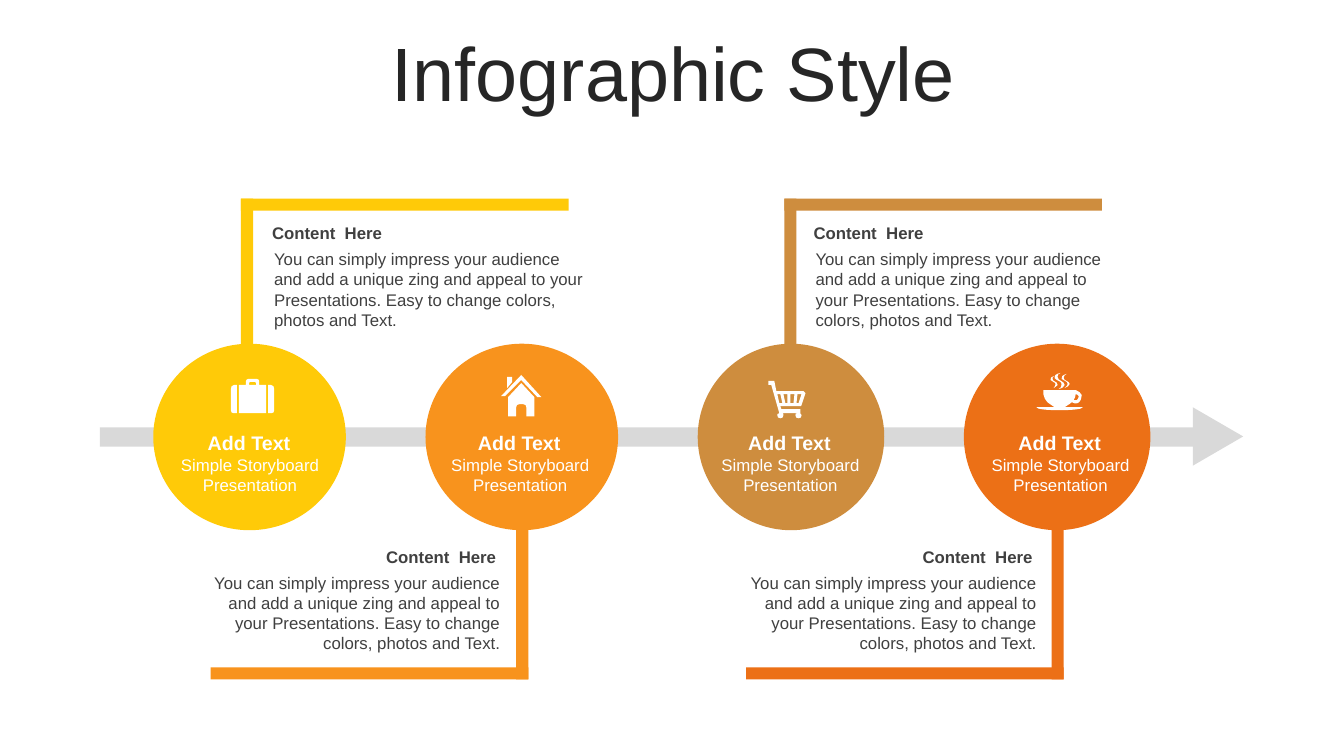
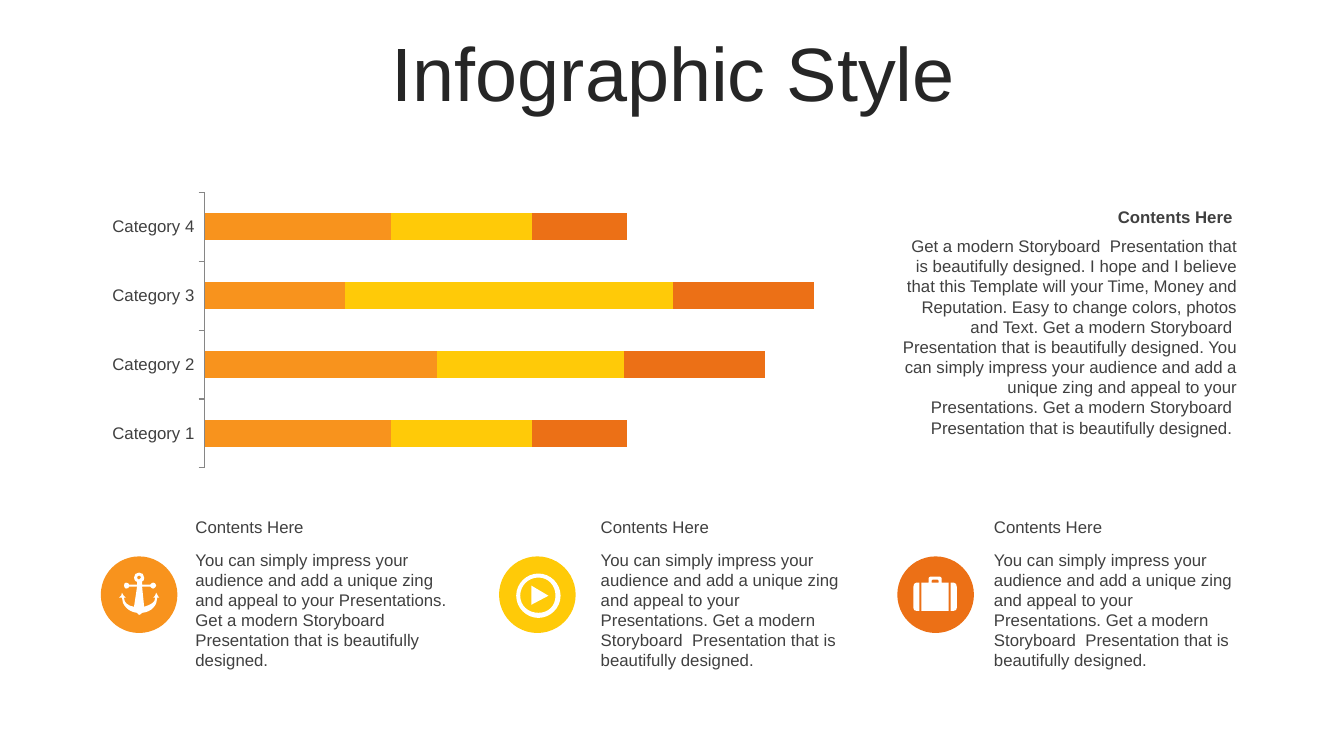
from pptx import Presentation
from pptx.chart.data import CategoryChartData
from pptx.dml.color import RGBColor
from pptx.enum.chart import XL_CHART_TYPE, XL_TICK_MARK
from pptx.enum.shapes import MSO_SHAPE
from pptx.enum.text import MSO_ANCHOR, MSO_AUTO_SIZE, PP_ALIGN
from pptx.oxml.xmlchemy import OxmlElement
from pptx.util import Inches, Pt

# Shared style
YELLOW = RGBColor(0xFF, 0xCA, 0x08)
ORANGE = RGBColor(0xF8, 0x93, 0x1D)
BRONZE = RGBColor(0xCE, 0x8D, 0x3E)
RED = RGBColor(0xEC, 0x70, 0x16)
WHITE = RGBColor(0xFF, 0xFF, 0xFF)
SILVER = RGBColor(0xD9, 0xD9, 0xD9)
AXIS_GRAY = RGBColor(0x86, 0x86, 0x86)
TEXT_GRAY = RGBColor(0x40, 0x40, 0x40)
TITLE_GRAY = RGBColor(0x26, 0x26, 0x26)
FONT = "Arial"
LEFT, CENTER, RIGHT = PP_ALIGN.LEFT, PP_ALIGN.CENTER, PP_ALIGN.RIGHT
RECTANGLE, ELLIPSE = MSO_SHAPE.RECTANGLE, MSO_SHAPE.OVAL
TRIANGLE = MSO_SHAPE.ISOSCELES_TRIANGLE
TITLE_ONLY = 5
TITLE = "Infographic Style"

# Icon outlines in hundredths of an inch: M move, L line, C curve, Z close
SUITCASE = """M 37 6 L 40 6 C 42 6 43 8 43 10 L 43 31 C 43 33 42 34 40 34 L 37 34 Z
M 3 6 L 6 6 L 6 34 L 3 34 C 1 34 0 33 0 31 L 0 10 C 0 8 1 6 3 6 Z
M 19 3 C 18 3 18 3 18 4 L 18 6 L 25 6 L 25 4 C 25 3 25 3 24 3 Z
M 17 0 L 26 0 C 27 0 28 1 28 2 L 28 6 L 35 6 L 35 34 L 8 34 L 8 6 L 15 6
L 15 2 C 15 1 16 0 17 0 Z"""
HOUSE = """M 20 8 L 33 22 L 33 41 L 25 41 L 25 32 C 25 30 24 29 22 29 L 18 29
C 16 29 15 30 15 32 L 15 41 L 7 41 L 7 22 Z M 6 2 L 11 2 L 11 7 L 6 13 Z
M 20 0 L 40 22 L 36 22 L 20 5 L 4 21 L 0 21 Z"""
CART = """M 29 13 L 28 22 L 30 22 L 33 13 Z M 22 13 L 22 22 L 25 22 L 26 13 Z
M 15 13 L 17 22 L 19 22 L 19 13 Z M 9 13 L 11 22 L 14 22 L 12 13 Z
M 6 0 L 8 10 L 35 10 C 36 10 37 11 37 12 L 33 24 C 33 25 32 25 31 25 L 12 25
L 13 28 L 32 28 L 32 32 L 31 32 C 32 32 33 33 33 34 C 33 36 32 37 30 37
C 28 37 27 36 27 34 C 27 33 27 32 29 32 L 14 32 C 15 32 15 33 15 34
C 15 36 14 37 12 37 C 10 37 9 36 9 34 C 9 33 9 32 11 32 L 3 4 L 0 4 L 0 0 L 5 0 Z"""
CUP = """M 39 21 C 39 23 38 25 37 27 C 38 27 39 27 40 27 C 41 26 42 25 42 23
C 41 22 40 21 39 21 Z M 39 17 C 42 18 44 20 45 22 C 45 25 44 28 41 30
C 39 31 37 30 35 29 C 34 30 33 31 31 32 C 30 33 29 33 28 34 L 46 34
C 46 36 35 37 23 37 C 10 37 0 36 0 34 L 18 34 C 17 33 16 33 15 32
C 9 29 6 23 7 17 Z
M 18 3 C 17 4 15 4 16 6 C 16 9 21 8 21 12 C 20 13 19 14 17 15
C 18 13 19 13 19 11 C 19 9 15 9 14 7 C 13 5 15 4 18 3 Z
M 30 1 C 28 2 27 3 27 5 C 27 8 33 8 33 11 C 32 13 31 14 28 15
C 30 13 31 12 31 11 C 31 8 27 8 25 6 C 24 4 26 2 30 1 Z
M 24 0 C 22 1 20 2 21 4 C 21 8 28 8 28 12 C 27 14 26 15 22 16
C 24 15 25 14 25 11 C 25 8 20 8 18 5 C 17 3 19 1 24 0 Z"""
PLAY = """M 15 12 L 32 22 L 15 31 Z
M 22 4 C 12 4 4 12 4 22 C 4 32 12 39 22 39 C 32 39 39 32 39 22 C 39 12 32 4 22 4 Z
M 22 0 C 34 0 44 10 44 22 C 44 34 34 44 22 44 C 10 44 0 34 0 22 C 0 10 10 0 22 0 Z"""
ANCHOR = """M 20 3 C 19 3 18 4 18 5 C 18 6 19 7 20 7 C 21 7 22 6 22 5
C 22 4 21 3 20 3 Z M 20 0 C 23 0 25 2 25 5 C 25 7 25 8 23 9 L 23 12 L 31 12
C 32 11 33 10 34 10 C 35 10 37 11 37 13 C 37 14 35 16 34 16 C 33 16 32 15 31 14
L 23 14 L 25 34 C 31 32 36 30 36 25 L 34 25 C 35 24 37 22 37 20
C 38 22 39 24 40 25 L 38 25 C 38 32 33 39 23 40 C 22 41 21 42 20 42
C 20 42 19 41 18 40 C 9 39 3 32 3 25 L 0 25 C 2 24 3 22 3 20 C 4 22 5 24 7 25
L 5 25 C 5 30 9 33 15 34 L 18 14 L 10 14 C 10 15 9 16 7 16 C 6 16 5 14 5 13
C 5 11 6 10 7 10 C 9 10 10 11 10 12 L 18 12 L 18 9 L 17 9 C 16 8 15 7 15 5
C 15 2 17 0 20 0 Z"""

# Timeline content
STEP_NAME = "Add Text"
STEP_CAPTION = "Simple Storyboard Presentation"
STEP_HEADING = "Content  Here"
STEP_BODY = ("You can simply impress your audience and add a unique zing and appeal "
             "to your Presentations. Easy to change colors, photos and Text.")
# colour, circle left and width, stem left, arm length, text left and width,
# icon, icon left and top; steps go above and below the arrow in turn
STEPS = [
    (YELLOW, 1.52, 1.91, 2.39, 3.25, 2.62, 3.29, SUITCASE, 2.29, 3.76),
    (ORANGE, 4.22, 1.91, 5.12, 3.15, 1.87, 3.19, HOUSE, 4.97, 3.72),
    (BRONZE, 6.92, 1.85, 7.78, 3.15, 7.99, 3.19, CART, 7.62, 3.78),
    (RED, 9.56, 1.85, 10.43, 3.15, 7.19, 3.19, CUP, 10.28, 3.7),
]
BAR, STEM = 0.12, 1.54
NAME_LEFT, NAME_PITCH, NAME_WIDTH = 1.53, 2.68, 1.88

# Chart slide content
CATEGORIES = ["Category 1", "Category 2", "Category 3", "Category 4"]
SERIES = [
    ("Series 1", ORANGE, (57, 71, 43, 57)),
    ("Series 2", YELLOW, (43, 57, 100, 43)),
    ("Series 3", RED, (29, 43, 43, 29)),
]
SUMMARY_HEADING = "Contents Here "
SUMMARY = ("Get a modern Storyboard  Presentation that is beautifully designed. "
           "I hope and I believe that this Template will your Time, Money and "
           "Reputation. Easy to change colors, photos and Text. Get a modern "
           "Storyboard  Presentation that is beautifully designed. You can simply "
           "impress your audience and add a unique zing and appeal to your "
           "Presentations. Get a modern Storyboard  Presentation that is "
           "beautifully designed. ")
NOTE_HEADING = "Contents Here"
NOTE_BODY = ("You can simply impress your audience and add a unique zing and appeal "
             "to your Presentations. Get a modern Storyboard  Presentation that is "
             "beautifully designed.")
# colour, text left and width, icon, icon left and top
NOTES = [
    (ORANGE, 1.84, 2.74, ANCHOR, 1.18, 5.68),
    (YELLOW, 5.86, 2.62, PLAY, 5.12, 5.69),
    (RED, 9.76, 2.62, SUITCASE, 9.06, 5.72),
]
NOTE_LEFT, NOTE_PITCH = 1, 3.95


def box(left, top, width, height):
    return [Inches(value) for value in (left, top, width, height)]


def write(frame, text, size, color, align, bold=False):
    paragraph = frame.paragraphs[0]
    paragraph.alignment = align
    run = paragraph.add_run()
    run.text = text
    run.font.name, run.font.size, run.font.bold = FONT, Pt(size), bold
    run.font.color.rgb = color
    return paragraph


def add_text(slide, place, text, align=LEFT, size=12, color=TEXT_GRAY, bold=False):
    frame = slide.shapes.add_textbox(*box(*place)).text_frame
    frame.word_wrap = True
    write(frame, text, size, color, align, bold)


def paint(shape, color):
    shape.shadow.inherit = False
    shape.fill.solid()
    shape.fill.fore_color.rgb = color
    shape.line.fill.background()


def add_shape(slide, kind, place, color):
    shape = slide.shapes.add_shape(kind, *box(*place))
    paint(shape, color)
    return shape


def bend_curves(shape, commands):
    """Join the three line points of each C command into one Bézier curve."""
    lines = iter(shape.element.xpath(".//a:lnTo"))
    for command in commands:
        line = next(lines)
        if command == "C":
            curve = OxmlElement("a:cubicBezTo")
            line.addprevious(curve)
            for corner in (line, next(lines), next(lines)):
                curve.append(corner[0])
                corner.getparent().remove(corner)


def add_icon(slide, outline, left, top):
    builder = None
    for contour in outline.split("Z")[:-1]:
        numbers = [float(token) / 100 for token in contour.split() if token not in "MLC"]
        start, *rest = [(Inches(left + x), Inches(top + y))
                        for x, y in zip(numbers[::2], numbers[1::2])]
        if builder is None:
            builder = slide.shapes.build_freeform(*start)
        else:
            builder.move_to(*start)
        builder.add_line_segments(rest, close=True)
    shape = builder.convert_to_shape()
    bend_curves(shape, [token for token in outline.split() if token in "LC"])
    paint(shape, WHITE)


def new_slide(presentation):
    slide = presentation.slides.add_slide(presentation.slide_layouts[TITLE_ONLY])
    title = slide.shapes.title
    title.left, title.top, title.width, title.height = box(0.35, 0.37, 12.66, 0.79)
    frame = title.text_frame
    frame.auto_size = MSO_AUTO_SIZE.NONE
    frame.vertical_anchor = MSO_ANCHOR.MIDDLE
    write(frame, TITLE, 54, TITLE_GRAY, CENTER).line_spacing = 0.9
    return slide


def build_timeline(presentation):
    slide = new_slide(presentation)
    # Brackets, with their arms away from the arrow
    for index, (color, _, _, stem, arm, *_) in enumerate(STEPS):
        above = index % 2 == 0
        arm_left = stem if above else stem + BAR - arm
        add_shape(slide, RECTANGLE, (arm_left, 1.97 if above else 6.62, arm, BAR), color)
        add_shape(slide, RECTANGLE, (stem, 1.97 if above else 5.2, BAR, STEM), color)
    # Arrow
    add_shape(slide, RECTANGLE, (0.99, 4.24, 10.91, 0.19), SILVER)
    add_shape(slide, TRIANGLE, (11.79, 4.08, 0.58, 0.5), SILVER).rotation = 90
    # Circles and texts
    for index, step in enumerate(STEPS):
        color, left, width, _, _, text_left, text_width, icon, icon_left, icon_top = step
        add_shape(slide, ELLIPSE, (left, 3.41, width, 1.85), color)
        add_icon(slide, icon, icon_left, icon_top)
        name_left = NAME_LEFT + index * NAME_PITCH
        add_text(slide, (name_left, 4.23, NAME_WIDTH, 0.34), STEP_NAME,
                 CENTER, 14, WHITE, True)
        add_text(slide, (name_left + 0.01, 4.46, NAME_WIDTH, 0.5), STEP_CAPTION,
                 CENTER, 12, WHITE)
        above = index % 2 == 0
        top, align = (2.16, LEFT) if above else (5.37, RIGHT)
        heading_left = text_left - (0.02 if above else 0.04)
        add_text(slide, (heading_left, top, text_width, 0.3), STEP_HEADING, align, bold=True)
        add_text(slide, (text_left, top + 0.26, text_width, 0.91), STEP_BODY, align)


def build_chart(slide):
    data = CategoryChartData()
    data.categories = CATEGORIES
    for name, _, values in SERIES:
        data.add_series(name, values)
    chart = slide.shapes.add_chart(XL_CHART_TYPE.BAR_STACKED,
                                   *box(0.96, 1.85, 7.72, 2.85), data).chart
    chart.has_legend = chart.has_title = False
    chart.font.name, chart.font.size = FONT, Pt(12)
    chart.font.color.rgb = TEXT_GRAY
    chart.value_axis.visible = False
    chart.value_axis.has_major_gridlines = False
    chart.value_axis.minimum_scale, chart.value_axis.maximum_scale = 0, 200
    chart.category_axis.major_tick_mark = XL_TICK_MARK.OUTSIDE
    chart.category_axis.format.line.color.rgb = AXIS_GRAY
    plot = chart.plots[0]
    plot.gap_width, plot.overlap, plot.vary_by_categories = 150, 100, False
    for series, (_, color, _) in zip(plot.series, SERIES):
        series.format.fill.solid()
        series.format.fill.fore_color.rgb = color


def build_chart_slide(presentation):
    slide = new_slide(presentation)
    build_chart(slide)
    add_text(slide, (8.79, 2, 3.58, 0.3), SUMMARY_HEADING, RIGHT, bold=True)
    add_text(slide, (8.8, 2.29, 3.57, 2.12), SUMMARY, RIGHT)
    # Notes with round icons
    for index, (color, left, width, icon, icon_left, icon_top) in enumerate(NOTES):
        circle_left = NOTE_LEFT + index * NOTE_PITCH
        add_shape(slide, ELLIPSE, (circle_left, 5.52, 0.76, 0.76), color)
        add_icon(slide, icon, icon_left, icon_top)
        add_text(slide, (left, 5.08, width, 0.3), NOTE_HEADING)
        add_text(slide, (left, 5.4, width, 1.31), NOTE_BODY)


def main():
    presentation = Presentation()
    presentation.slide_width, presentation.slide_height = Inches(13.33), Inches(7.5)
    build_timeline(presentation)
    build_chart_slide(presentation)
    presentation.save("out.pptx")


if __name__ == "__main__":
    main()
